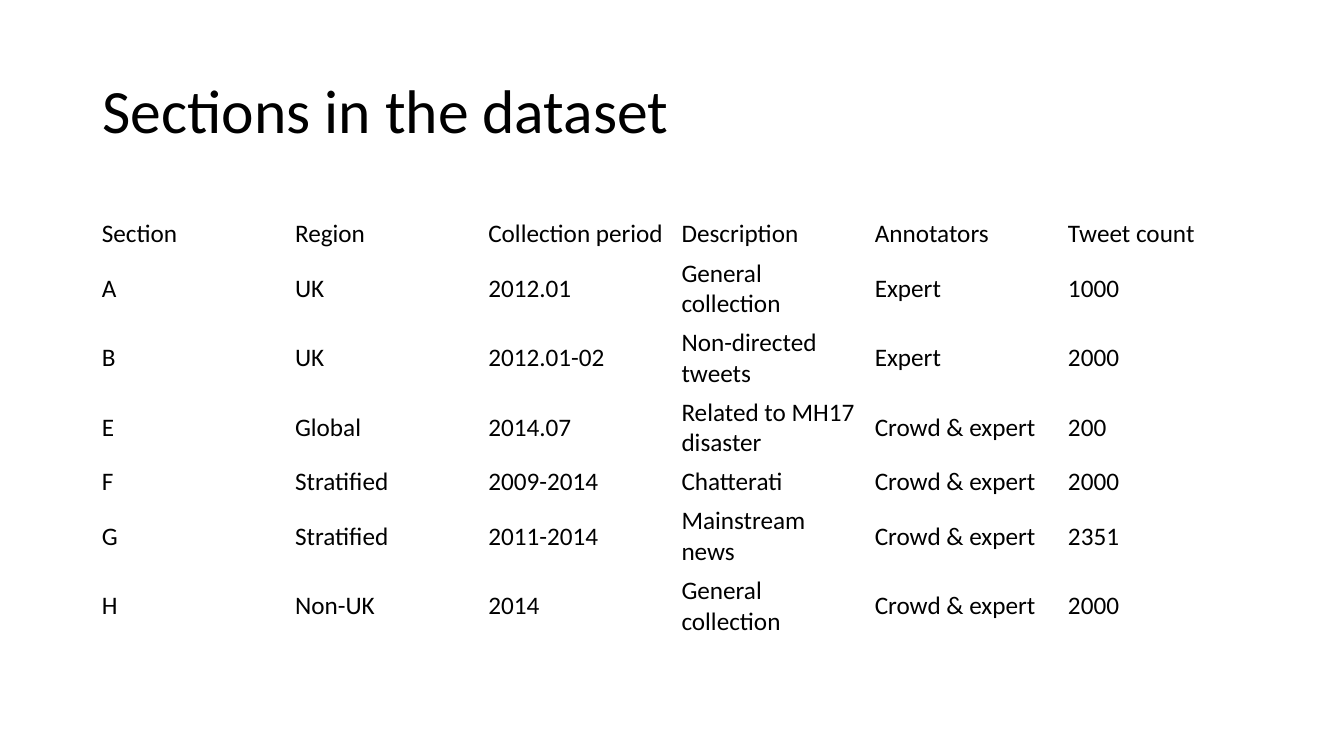
import pptx
import pptx.util
import pptx.dml.color
import pptx.enum.text

Inches = pptx.util.Inches
COLOURS = {"text": "000000", "paper": "FFFFFF"}
FONT = "Calibri"
LEFT, WIDTH = 0.92, 11.5
ONE_LINE, TWO_LINES = 0.39, 0.69
SECTIONS = [
    ("Section", "Region", "Collection period", "Description", "Annotators", "Tweet count"),
    ("A", "UK", "2012.01", "General collection", "Expert", "1000"),
    ("B", "UK", "2012.01-02", "Non-directed tweets", "Expert", "2000"),
    ("E", "Global", "2014.07", "Related to MH17 disaster", "Crowd & expert", "200"),
    ("F", "Stratified", "2009-2014", "Chatterati", "Crowd & expert", "2000"),
    ("G", "Stratified", "2011-2014", "Mainstream news", "Crowd & expert", "2351"),
    ("H", "Non-UK", "2014", "General collection", "Crowd & expert", "2000"),
]


def colour(name):
    return pptx.dml.color.RGBColor.from_string(COLOURS[name])


def add_run(para, text, size):
    span = para.add_run()
    span.text = text
    span.font.name = FONT
    span.font.size = pptx.util.Pt(size)
    span.font.color.rgb = colour("text")


def add_title(page, text):
    box = page.shapes.add_textbox(Inches(LEFT), Inches(0.4), Inches(WIDTH), Inches(1.45))
    frame = box.text_frame
    frame.word_wrap = True
    frame.vertical_anchor = pptx.enum.text.MSO_ANCHOR.MIDDLE
    para = frame.paragraphs[0]
    para.line_spacing = 0.9
    add_run(para, text, 44)


def fill_cell(cell, text):
    cell.fill.solid()
    cell.fill.fore_color.rgb = colour("paper")
    cell.vertical_anchor = pptx.enum.text.MSO_ANCHOR.MIDDLE
    cell.margin_left = cell.margin_right = Inches(0.09)
    cell.margin_top = cell.margin_bottom = Inches(0.04)
    add_run(cell.text_frame.paragraphs[0], text, 18)


def add_section_table(page, sections):
    heights = [TWO_LINES if " " in section[3] else ONE_LINE for section in sections]
    table = page.shapes.add_table(
        len(sections), len(sections[0]),
        Inches(LEFT), Inches(2.13), Inches(WIDTH), Inches(sum(heights)),
    ).table
    table.first_row = False
    table.horz_banding = False
    for row, height, section in zip(table.rows, heights, sections):
        row.height = Inches(height)
        for cell, text in zip(row.cells, section):
            fill_cell(cell, text)


def main():
    deck = pptx.Presentation()
    deck.slide_width = Inches(13.33)
    deck.slide_height = Inches(7.5)
    page = deck.slides.add_slide(deck.slide_layouts[6])
    page.background.fill.solid()
    page.background.fill.fore_color.rgb = colour("paper")
    add_title(page, "Sections in the dataset")
    add_section_table(page, SECTIONS)
    deck.save("out.pptx")


main()
